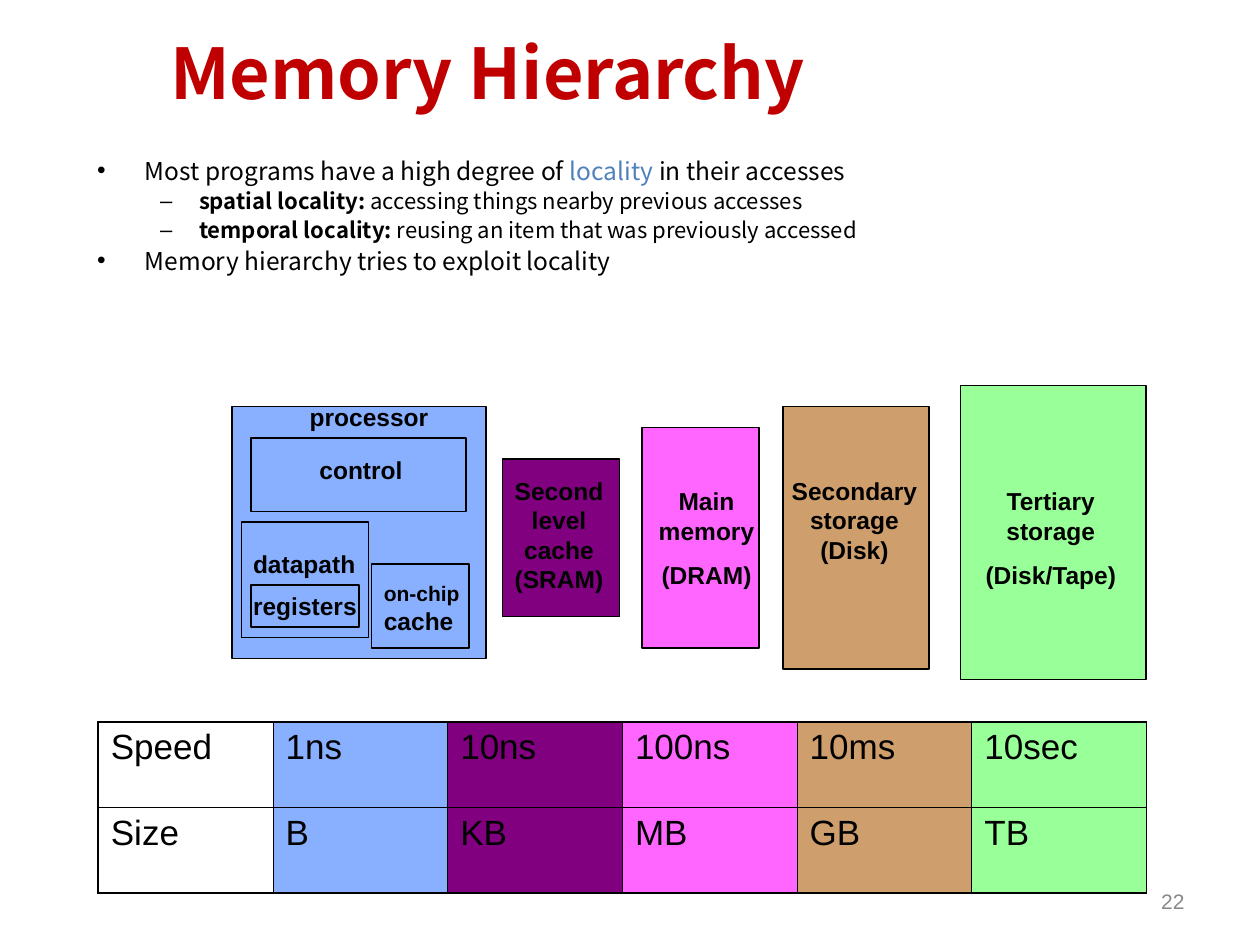
from lxml.etree import SubElement
from pptx import Presentation
from pptx.dml.color import RGBColor
from pptx.enum.shapes import MSO_SHAPE
from pptx.enum.text import MSO_ANCHOR, MSO_AUTO_SIZE, PP_ALIGN
from pptx.oxml.ns import qn
from pptx.util import Inches, Pt

TITLE = "Memory Hierarchy"
POINTS = [
    (0, [("Most programs have a high degree of ", {}),
         ("locality", {"color": "4F81BD"}),
         (" in their accesses", {})]),
    (1, [("spatial locality:", {"bold": True}),
         (" accessing things nearby previous accesses", {})]),
    (1, [("temporal locality:", {"bold": True}),
         (" reusing an item that was previously accessed", {})]),
    (0, [("Memory hierarchy tries to exploit locality", {})]),
]
LEVELS = [
    {"size": 14, "left": 0.38, "hang": -0.38, "gap": 5},
    {"size": 12.6, "left": 0.81, "hang": -0.31, "gap": 4.5},
]
BLUE, PLUM, PINK, TAN, MINT = "89B0FF", "800080", "FF66FF", "CF9E6D", "99FF99"
UNITS = [
    ((0, 2, 26, 24), BLUE),
    ((2, 5, 22, 7), None),
    ((2, 19, 11, 4), None),
    ((14.3, 17, 10, 8), None),
    ((1, 13, 13, 11), None),
    ((27.7, 7, 12, 15), PLUM),
    ((42, 4, 12, 21), PINK),
    ((56.4, 2, 15, 25), TAN),
    ((74.6, 0, 19, 28), MINT),
]
NAMES = [
    ((0.9, 19, 13.2, 4), ["registers"]),
    ((0.9, 15, 13.2, 4), ["datapath"]),
    ((7.7, 6, 11.1, 4), ["control"]),
    ((6.7, 1, 14.7, 4), ["processor"]),
]
STORES = [
    ((26.7, 8, 13.6, 12.5), ["Second level cache (SRAM)"]),
    ((42, 9, 13.2, 11), ["Main memory", "(DRAM)"]),
    ((55.7, 8, 16.1, 9.6), ["Secondary storage (Disk)"]),
    ((75.1, 9, 17.5, 11), ["Tertiary storage", "(Disk/Tape)"]),
]
CHIP = ((14.3, 18, 11, 6.5), [("on-chip ", {"size": 12}), ("cache", {})])
ROWS = [
    ["Speed", "1ns", "10ns", "100ns", "10ms", "10sec"],
    ["Size", "B", "KB", "MB", "GB", "TB"],
]
FILLS = [None, BLUE, PLUM, PINK, TAN, MINT]
WIDE, HIGH = Inches(10), Inches(7.5)
LABEL = {"size": 14, "name": "Arial", "bold": True}


def rgb(code):
    """Turn a hex string into a colour."""
    return RGBColor.from_string(code)


def put(thing, **vals):
    """Set each named value on a thing."""
    for key, val in vals.items():
        setattr(thing, key, val)


def share(left, top, wide, high):
    """Turn percents of the slide into a frame."""
    return [int(part * full / 100) for part, full in
            zip((left, top, wide, high), (WIDE, HIGH) * 2)]


def grid(col, row, cols, rows):
    """Turn cells of the diagram grid into a frame."""
    dx, dy = WIDE / 129, HIGH / 90
    return [int(n) for n in (WIDE * 0.184 + col * dx, HIGH * 0.408 + row * dy,
                             cols * dx, rows * dy)]


def place(shape, frame):
    """Move and size a shape."""
    put(shape, **dict(zip(("left", "top", "width", "height"), frame)))


def write(para, runs, **base):
    """Add runs that share a base format."""
    for text, extra in runs:
        look = {"color": "000000", "bold": False, **base, **extra}
        run = para.add_run()
        run.text = text
        run.font.color.rgb = rgb(look.pop("color"))
        put(run.font, **{**look, "size": Pt(look["size"])})


def label(slide, frame, paras, wrap=True, align=PP_ALIGN.LEFT, **base):
    """Add a text box with one list of runs per paragraph."""
    text = slide.shapes.add_textbox(*frame).text_frame
    put(text, word_wrap=wrap, auto_size=MSO_AUTO_SIZE.SHAPE_TO_FIT_TEXT)
    for num, runs in enumerate(paras):
        para = text.add_paragraph() if num else text.paragraphs[0]
        put(para, alignment=align, space_before=Pt(8.8 if num else 0))
        write(para, runs, **base)
    return text


def plain(lines):
    """Make each line a list with one run."""
    return [[(line, {})] for line in lines]


def paint(fill, code):
    """Fill with a colour, or leave clear."""
    if code:
        fill.solid()
        fill.fore_color.rgb = rgb(code)
    else:
        fill.background()


def edge(cell, sides):
    """Draw the four borders of a cell."""
    props = cell._tc.get_or_add_tcPr()
    for spot, (side, outer) in enumerate(sides):
        line = SubElement(props, qn("a:ln" + side),
                          w=str(Pt(1.08 if outer else 0.45)))
        fill = SubElement(line, qn("a:solidFill"))
        SubElement(fill, qn("a:srgbClr"), val="000000")
        props.insert(spot, line)


def head(slide):
    """Fill the title and the list."""
    title, body = slide.shapes.title, slide.placeholders[1]
    place(title, share(12.5, 0, 85.6, 15.2))
    place(body, share(6.7, 16.4, 87.5, 19.47))
    for shape, anchor in ((title, MSO_ANCHOR.MIDDLE), (body, MSO_ANCHOR.TOP)):
        put(shape.text_frame, vertical_anchor=anchor, word_wrap=True,
            auto_size=MSO_AUTO_SIZE.NONE)
    para = title.text_frame.paragraphs[0]
    para.alignment = PP_ALIGN.LEFT
    write(para, [(TITLE, {})], size=40, name="Noto Sans CJK KR",
          color="C00000", bold=True)
    text = body.text_frame
    for num, (level, runs) in enumerate(POINTS):
        para = text.add_paragraph() if num else text.paragraphs[0]
        look = LEVELS[level]
        put(para, level=level, line_spacing=0.8,
            space_before=Pt(look["gap"] if num else 0))
        props = para._p.get_or_add_pPr()
        props.set("marL", str(Inches(look["left"])))
        props.set("indent", str(Inches(look["hang"])))
        write(para, runs, size=look["size"], name="Noto Sans CJK SC")


def diagram(slide):
    """Draw the memory units and their names."""
    for cells, code in UNITS:
        box = slide.shapes.add_shape(MSO_SHAPE.RECTANGLE, *grid(*cells))
        box.shadow.inherit = False
        paint(box.fill, code)
        box.line.color.rgb = rgb("000000")
        box.line.width = Pt(1)
    label(slide, grid(*CHIP[0]), [CHIP[1]], **LABEL)
    for cells, lines in NAMES:
        label(slide, grid(*cells), plain(lines), wrap=False, **LABEL)
    for cells, lines in STORES:
        label(slide, grid(*cells), plain(lines), align=PP_ALIGN.CENTER, **LABEL)


def chart(slide):
    """Add the table of speed and size."""
    rows, cols = len(ROWS), len(FILLS)
    frame = share(7.8, 76.4, 83.2, 18.13)
    table = slide.shapes.add_table(rows, cols, *frame).table
    put(table, first_row=False, horz_banding=False)
    for row, words in enumerate(ROWS):
        for col, word in enumerate(words):
            cell = table.cell(row, col)
            paint(cell.fill, FILLS[col])
            edge(cell, (("L", col == 0), ("R", col == cols - 1),
                        ("T", row == 0), ("B", row == rows - 1)))
            write(cell.text_frame.paragraphs[0], [(word, {})],
                  size=20, name="Arial")


def main():
    """Build and save the slide."""
    deck = Presentation()
    put(deck, slide_width=WIDE, slide_height=HIGH)
    slide = deck.slides.add_slide(deck.slide_layouts[1])
    head(slide)
    diagram(slide)
    chart(slide)
    page = label(slide, share(71.7, 92.67, 23.3, 5.33), plain(["22"]),
                 align=PP_ALIGN.RIGHT, size=12, name="Arial", color="898989")
    put(page, vertical_anchor=MSO_ANCHOR.MIDDLE, auto_size=MSO_AUTO_SIZE.NONE)
    deck.save("out.pptx")


if __name__ == "__main__":
    main()
